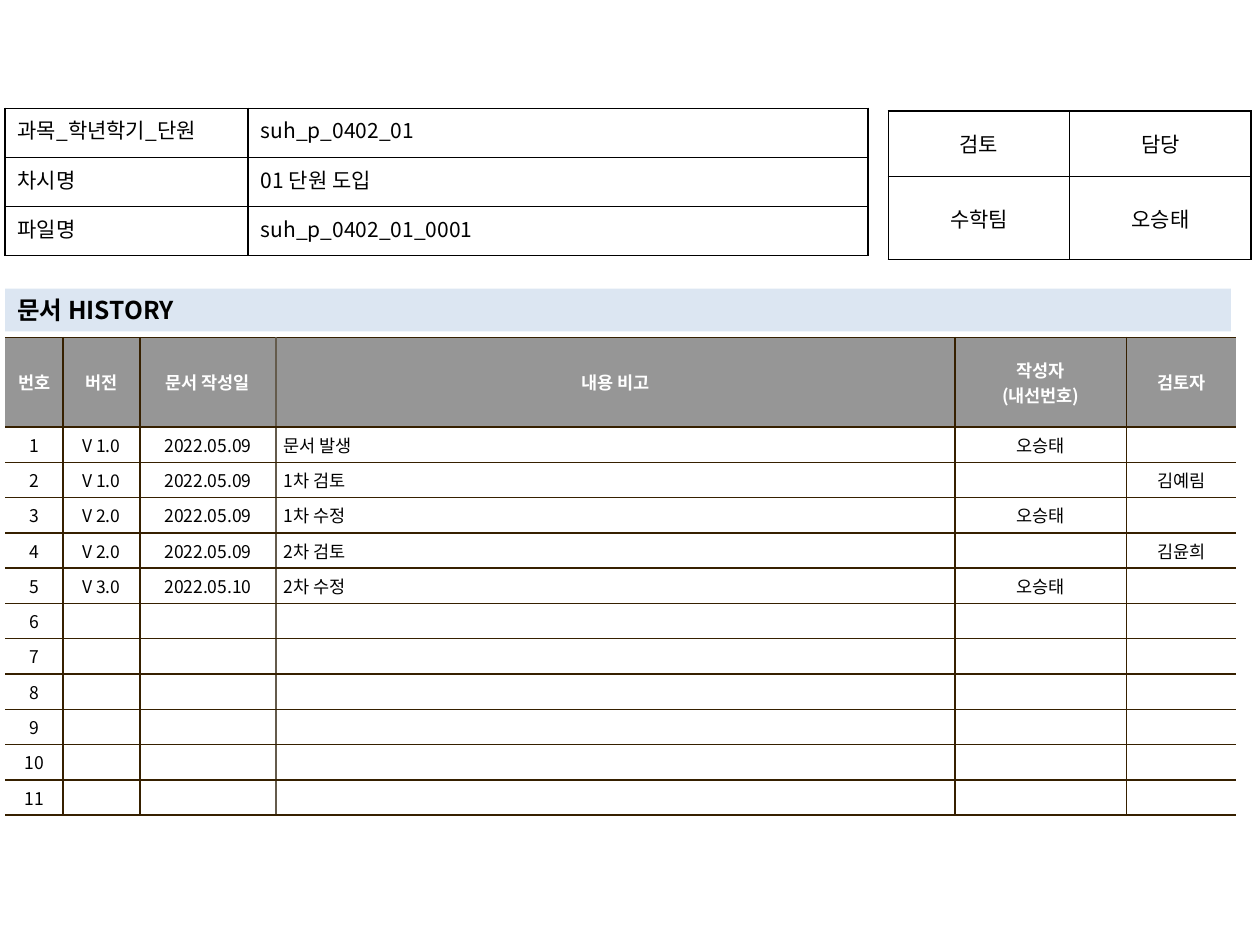
"""Build the document history slide with its title tables."""
from dataclasses import dataclass
from typing import Optional

from lxml.etree import SubElement as Sub
from pptx import Presentation
from pptx.dml.color import RGBColor as Rgb
from pptx.enum.shapes import MSO_SHAPE as Shape
from pptx.enum.text import MSO_ANCHOR as Anchor, PP_ALIGN as Align
from pptx.oxml.ns import qn
from pptx.util import Inches, Pt

FACE = "Noto Sans CJK KR"
BLACK, WHITE, GREY, BLUE = "000000", "FFFFFF", "969696", "DCE6F2"
BROWN, TAN = "362000", "645B4C"
LEFT, MID, JUST = Align.LEFT, Align.CENTER, Align.JUSTIFY


@dataclass
class Style:
    size: float
    ink: str = BLACK
    bold: bool = False


@dataclass
class Grid:
    left: float
    top: float
    cols: list[float]
    rows: list[float]
    text: list[list[str]]
    aligns: list[Align]
    style: Style
    pad: tuple[float, float] = (0.1, 0.05)
    anchor: Anchor = Anchor.MIDDLE
    line: str = BLACK
    fill: Optional[str] = None
    head: Optional[Style] = None
    open_ends: bool = False
    soft: int = -1
    hang: tuple[float, ...] = ()


def color(code: str) -> Rgb:
    """Turn a hex string into a colour."""
    return Rgb.from_string(code)


def write(para, text: str, style: Style, align: Align = LEFT) -> None:
    """Add one styled run, or size the paragraph if it is empty."""
    para.alignment = align
    if not text:
        Sub(para._p, qn("a:endParaRPr"), sz=str(int(style.size * 100)))
        return
    run = para.add_run()
    run.text = text
    font = run.font
    font.size, font.bold = Pt(style.size), style.bold
    font.color.rgb = color(style.ink)
    font.name = FACE
    Sub(run._r.get_or_add_rPr(), qn("a:ea"), typeface=FACE)


def edge(cell, side: str, code: Optional[str]) -> None:
    """Draw one side of a cell, or leave it clear."""
    line = Sub(cell._tc.get_or_add_tcPr(), qn(f"a:ln{side}"), w=str(Pt(1)))
    if code:
        Sub(Sub(line, qn("a:solidFill")), qn("a:srgbClr"), val=code)
    else:
        Sub(line, qn("a:noFill"))


def frame(cell, grid: Grid, col: int) -> None:
    """Draw the four sides of a cell."""
    last = len(grid.cols) - 1
    for side, mark, end in (("L", col - 1, col == 0), ("R", col, col == last)):
        code = TAN if mark == grid.soft and not end else grid.line
        edge(cell, side, None if end and grid.open_ends else code)
    for side in "TB":
        edge(cell, side, grid.line)


def draw_cell(cell, grid: Grid, row: int, col: int) -> None:
    """Fill one cell with its frame, colour and text."""
    top = row == 0 and grid.head is not None
    frame(cell, grid, col)
    cell.margin_left = cell.margin_right = Inches(grid.pad[0])
    cell.margin_top = cell.margin_bottom = Inches(grid.pad[1])
    cell.vertical_anchor = grid.anchor
    if grid.fill:
        cell.fill.solid()
        cell.fill.fore_color.rgb = color(GREY if top else grid.fill)
    else:
        cell.fill.background()
    body = cell.text_frame
    for spot, text in enumerate(grid.text[row][col].split("\n")):
        para = body.add_paragraph() if spot else body.paragraphs[0]
        if grid.hang and grid.hang[col] and text and not top:
            props = para._p.get_or_add_pPr()
            props.set("marL", str(Inches(grid.hang[col])))
            props.set("indent", str(-Inches(grid.hang[col])))
        write(para, text, grid.head if top else grid.style,
              MID if top else grid.aligns[col])


def draw_grid(slide, grid: Grid) -> None:
    """Add a table."""
    table = slide.shapes.add_table(
        len(grid.rows), len(grid.cols), Inches(grid.left), Inches(grid.top),
        Inches(sum(grid.cols)), Inches(sum(grid.rows))).table
    table.first_row = table.horz_banding = False
    for col, width in enumerate(grid.cols):
        table.columns[col].width = Inches(width)
    for row, height in enumerate(grid.rows):
        table.rows[row].height = Inches(height)
        for col in range(len(grid.cols)):
            draw_cell(table.cell(row, col), grid, row, col)


def draw_band(slide) -> None:
    """Add the heading band."""
    band = slide.shapes.add_shape(Shape.RECTANGLE, Inches(0.04), Inches(2.29),
                                  Inches(9.73), Inches(0.34))
    band.shadow.inherit = False
    band.fill.solid()
    band.fill.fore_color.rgb = color(BLUE)
    band.line.fill.background()
    body = band.text_frame
    body.word_wrap, body.vertical_anchor = True, Anchor.MIDDLE
    write(body.paragraphs[0], "문서 HISTORY", Style(14, bold=True))


HEADS = ["번호", "버전", "문서 작성일", "내용 비고", "작성자\n(내선번호)", "검토자"]
NOTES = [
    ["V 1.0", "2022.05.09", "문서 발생", "오승태", ""],
    ["V 1.0", "2022.05.09", "1차 검토", "", "김예림"],
    ["V 2.0", "2022.05.09", "1차 수정", "오승태", ""],
    ["V 2.0", "2022.05.09", "2차 검토", "", "김윤희"],
    ["V 3.0", "2022.05.10", "2차 수정", "오승태", ""],
]
COUNT = 11
NOTES += [[""] * 5] * (COUNT - len(NOTES))

HISTORY = Grid(
    0.04, 2.68, [0.46, 0.61, 1.08, 5.39, 1.36, 0.87], [0.71] + [0.25] * COUNT,
    [HEADS] + [[str(num), *note] for num, note in enumerate(NOTES, 1)],
    [MID, MID, MID, LEFT, MID, MID], Style(10), pad=(0.06, 0.04), line=BROWN,
    fill=WHITE, head=Style(10, WHITE, True), open_ends=True, soft=2,
    hang=(0, 0, 0, 0.19, 0, 0.09))
REVIEW = Grid(7.05, 0.88, [1.44, 1.44], [0.52, 0.66],
              [["검토", "담당"], ["수학팀", "오승태"]], [MID, MID], Style(12))
TITLE = Grid(
    0.04, 0.86, [1.93, 4.92], [0.39] * 3,
    [["과목_학년학기_단원 ", "suh_p_0402_01"], ["차시명", "01 단원 도입"],
     ["파일명", "suh_p_0402_01_0001"]],
    [JUST, LEFT], Style(12), anchor=Anchor.TOP)


def main() -> None:
    """Build and save the slide."""
    deck = Presentation()
    deck.slide_width, deck.slide_height = Inches(10), Inches(7.5)
    slide = deck.slides.add_slide(deck.slide_layouts[6])
    draw_grid(slide, HISTORY)
    draw_grid(slide, REVIEW)
    draw_band(slide)
    draw_grid(slide, TITLE)
    deck.save("out.pptx")


if __name__ == "__main__":
    main()
